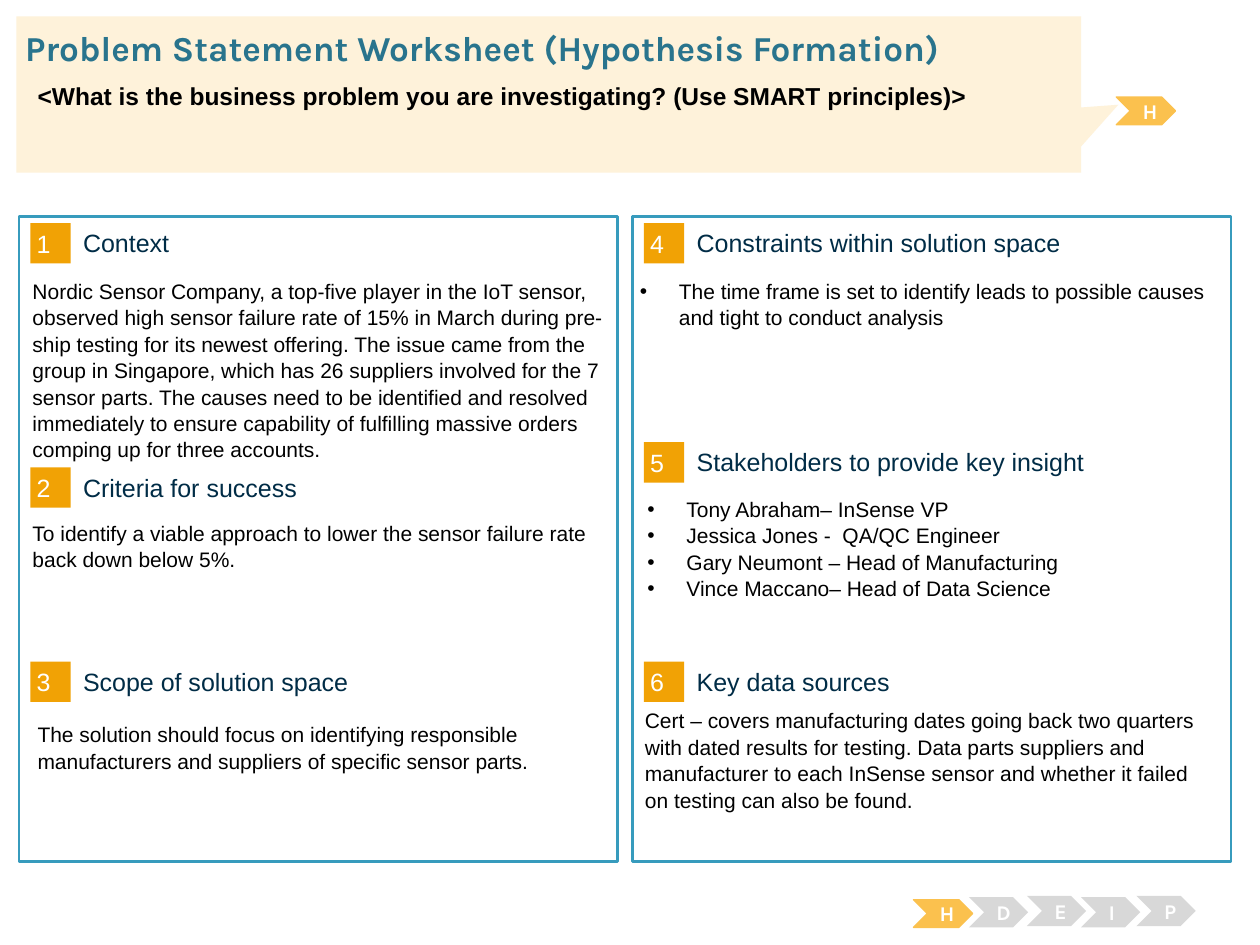
from pptx import Presentation
from pptx.dml.color import RGBColor
from pptx.enum.shapes import MSO_SHAPE as SHAPE
from pptx.enum.text import MSO_ANCHOR as ANCHOR, PP_ALIGN as ALIGN
from pptx.oxml import parse_xml
from pptx.oxml.ns import nsdecls
from pptx.util import Inches, Pt

ORANGE, AMBER, GREY, CREAM = "F1A205", "FBC14E", "D8D8D8", "FEF2DA"
BLUE, TEAL, NAVY, WHITE, BLACK = "379BBD", "29748D", "002C46", "FFFFFF", "000000"
TEXT_INSETS = (0.1, 0.05, 0.1, 0.05)
NO_INSETS = (0, 0, 0, 0)


def rgb(value):
    return RGBColor.from_string(value)


class Worksheet:
    """Holds the style and the slide being drawn."""
    font, heading_size, body_size = "Arial", 14.3, 12
    accent_font = "Karla"

    def __init__(self, s):
        self.s = s

    def set_text(self, sp, lines, size, color, font=None, bold=False,
                 insets=TEXT_INSETS, anchor=ANCHOR.TOP, align=ALIGN.LEFT):
        tf = sp.text_frame
        tf.word_wrap = True
        tf.vertical_anchor = anchor
        tf.margin_left, tf.margin_top, tf.margin_right, tf.margin_bottom = map(Inches, insets)
        tf.text = "\n".join(lines)
        for p in tf.paragraphs:
            p.alignment = align
            for r in p.runs:
                r.font.name, r.font.size, r.font.bold = font or self.font, Pt(size), bold
                r.font.color.rgb = rgb(color)
        return tf

    def shape(self, kind, x, y, w, h, fill, line=None, line_width=0.75):
        sp = self.s.shapes.add_shape(kind, Inches(x), Inches(y), Inches(w), Inches(h))
        sp.shadow.inherit = False
        sp.fill.solid()
        sp.fill.fore_color.rgb = rgb(fill)
        if line:
            sp.line.color.rgb = rgb(line)
            sp.line.width = Pt(line_width)
        else:
            sp.line.fill.background()
        return sp

    def text(self, x, y, w, h, lines, size, color, **style):
        sp = self.s.shapes.add_textbox(Inches(x), Inches(y), Inches(w), Inches(h))
        return self.set_text(sp, lines, size, color, **style)

    def section(self, number, title, x, y):
        """Numbered square with its heading."""
        sp = self.shape(SHAPE.RECTANGLE, x, y, 0.32, 0.32, ORANGE)
        self.set_text(sp, [str(number)], self.heading_size, WHITE,
                      insets=(0.05,) * 4, anchor=ANCHOR.MIDDLE)
        self.text(x + 0.42, y + 0.03, 3.93, 0.25, [title], self.heading_size, NAVY,
                  insets=NO_INSETS, anchor=ANCHOR.MIDDLE)

    def body(self, x, y, h, lines, bulleted=False):
        tf = self.text(x, y, 4.73, h, lines, self.body_size, BLACK)
        for p in tf.paragraphs:
            p.line_spacing = 1.05
            if bulleted:
                pPr = p._p.get_or_add_pPr()
                pPr.set("marL", str(Inches(0.31)))
                pPr.set("indent", str(Inches(-0.31)))
                pPr.append(parse_xml(f'<a:buFont {nsdecls("a")} typeface="Arial"/>'))
                pPr.append(parse_xml(f'<a:buChar {nsdecls("a")} char="•"/>'))

    def step(self, letter, x, y, active=False):
        """Chevron of the process tracker."""
        h = 0.22 if active else 0.24
        sp = self.shape(SHAPE.CHEVRON, x, y, 0.47, h, AMBER if active else GREY,
                        AMBER if active else None)
        self.set_text(sp, [letter], self.body_size, WHITE, font=self.accent_font, bold=True,
                      anchor=ANCHOR.MIDDLE, align=ALIGN.CENTER)

    def callout(self, x, y, w, h, tip):
        sp = self.shape(SHAPE.RECTANGULAR_CALLOUT, x, y, w, h, CREAM)
        sp.adjustments[0], sp.adjustments[1] = tip


def main():
    prs = Presentation()
    prs.slide_width, prs.slide_height = Inches(10), Inches(7.5)
    ws = Worksheet(prs.slides.add_slide(prs.slide_layouts[6]))

    left, right = 0.15, 5.02
    for x in (left, right):
        ws.shape(SHAPE.RECTANGLE, x, 1.72, 4.75, 5.12, WHITE, BLUE, 1.5)

    sections = [
        ("Context", left, 1.77), ("Criteria for success", left, 3.71),
        ("Scope of solution space", left, 5.25),
        ("Constraints within solution space", right, 1.77),
        ("Stakeholders to provide key insight", right, 3.51),
        ("Key data sources", right, 5.25),
    ]
    for number, (title, x, y) in enumerate(sections, 1):
        ws.section(number, title, x + 0.09, y)

    ws.body(0.16, 2.15, 1.47, [
        "Nordic Sensor Company, a top-five player in the IoT sensor, observed high sensor "
        "failure rate of 15% in March during pre-ship testing for its newest offering. The "
        "issue came from the group in Singapore, which has 26 suppliers involved for the 7 "
        "sensor parts. The causes need to be identified and resolved immediately to ensure "
        "capability of fulfilling massive orders comping up for three accounts."])
    ws.body(0.16, 4.07, 1.54, [
        "To identify a viable approach to lower the sensor failure rate back down below 5%."])
    ws.body(0.2, 5.67, 0.82, [
        "The solution should focus on identifying responsible manufacturers and suppliers "
        "of specific sensor parts."])
    ws.body(4.98, 2.15, 1.18, [
        "The time frame is set to identify leads to possible causes and tight to conduct "
        "analysis"], bulleted=True)
    ws.body(5.04, 3.88, 1.18, [
        "Tony Abraham– InSense VP", "Jessica Jones -  QA/QC Engineer",
        "Gary Neumont – Head of Manufacturing", "Vince Maccano– Head of Data Science",
    ], bulleted=True)
    ws.body(5.02, 5.56, 1.18, [
        "Cert – covers manufacturing dates going back two quarters with dated results for "
        "testing. Data parts suppliers and manufacturer to each InSense sensor and whether "
        "it failed on testing can also be found."])

    ws.step("H", 7.25, 7.14, active=True)
    for letter, x, y in (("D", 7.69, 7.12), ("E", 8.15, 7.11),
                         ("I", 8.58, 7.12), ("P", 9.02, 7.11)):
        ws.step(letter, x, y)
    ws.step("H", 8.86, 0.77, active=True)

    ws.callout(0.13, 0.13, 8.45, 1.24, tip=(0.535, 0.066))
    ws.text(0.2, 0.21, 9.62, 0.34, ["Problem Statement Worksheet (Hypothesis Formation)"],
            20, TEAL, font=ws.accent_font, bold=True, insets=NO_INSETS)
    ws.text(0.2, 0.59, 9.39, 0.54, [
        "<What is the business problem you are investigating? (Use SMART principles)>"],
        14, BLACK, bold=True)
    prs.save("out.pptx")


if __name__ == "__main__":
    main()
